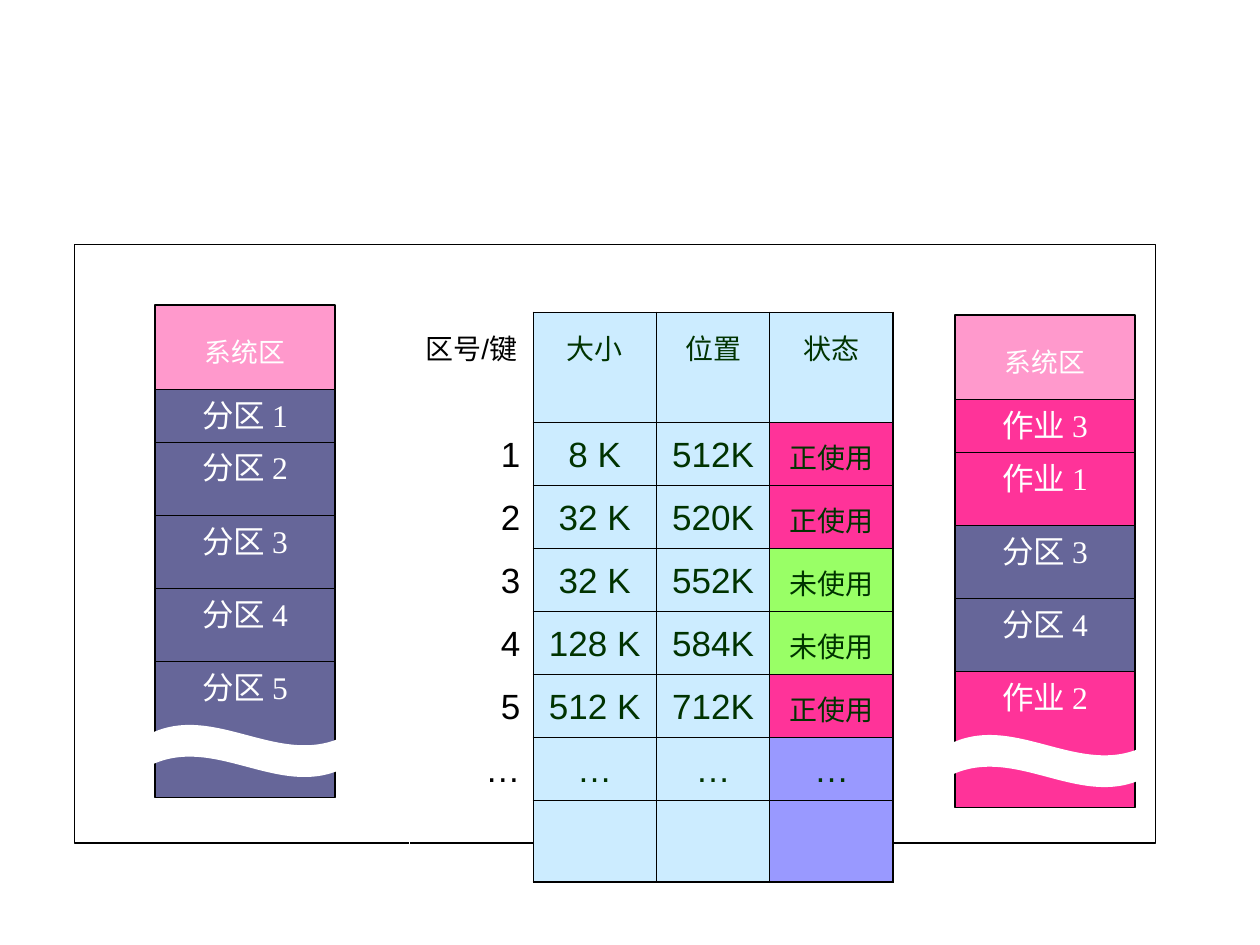
from pptx import Presentation
from pptx.dml.color import RGBColor
from pptx.enum.shapes import MSO_SHAPE
from pptx.enum.text import MSO_ANCHOR, PP_ALIGN
from pptx.oxml.ns import qn
from pptx.util import Inches, Pt
from lxml import etree

RECTANGLE, WAVE = MSO_SHAPE.RECTANGLE, MSO_SHAPE.WAVE
TOP = MSO_ANCHOR.TOP
CENTER, RIGHT = PP_ALIGN.CENTER, PP_ALIGN.RIGHT

BLACK = RGBColor(0x00, 0x00, 0x00)
WHITE = RGBColor(0xFF, 0xFF, 0xFF)
DARK_GREEN = RGBColor(0x00, 0x33, 0x00)
PALE_BLUE = RGBColor(0xCC, 0xEC, 0xFF)
PINK = RGBColor(0xFF, 0x99, 0xCC)
MAGENTA = RGBColor(0xFF, 0x33, 0x99)
GREEN = RGBColor(0x99, 0xFF, 0x66)
VIOLET = RGBColor(0x99, 0x99, 0xFF)
SLATE = RGBColor(0x66, 0x66, 0x99)

THIN, THICK = 0.45, 1.08
COLUMN_WIDTHS = [0.98, 0.98, 0.9, 0.98]
ROW_HEIGHTS = [0.87] + [0.5] * 6 + [0.65]
PARTITION_ROWS = [
    ("区号/键", "大小", "位置", "状态"),
    ("1", "8 K", "512K", "正使用"),
    ("2", "32 K", "520K", "正使用"),
    ("3", "32 K", "552K", "未使用"),
    ("4", "128 K", "584K", "未使用"),
    ("5", "512 K", "712K", "正使用"),
    ("…", "…", "…", "…"),
    ("", "", "", ""),
]
STATUS_FILLS = {"状态": PALE_BLUE, "正使用": MAGENTA, "未使用": GREEN}

BLOCK_WIDTH = 1.43
BLOCK_HEIGHTS = [0.67, 0.42, 0.58, 0.58, 0.58, 1.08]
EMPTY_MEMORY = [("系统区", PINK)] + [(f"分区 {n}", SLATE) for n in range(1, 6)]
LOADED_MEMORY = [
    ("系统区", PINK),
    ("作业 3", MAGENTA),
    ("作业 1", MAGENTA),
    ("分区 3", SLATE),
    ("分区 4", SLATE),
    ("作业 2", MAGENTA),
]


def add_shape(shapes, kind, left, top, width, height, fill, outlined=True):
    shape = shapes.add_shape(
        kind, Inches(left), Inches(top), Inches(width), Inches(height))
    shape.shadow.inherit = False
    shape.fill.solid()
    shape.fill.fore_color.rgb = fill
    if outlined:
        shape.line.color.rgb = BLACK
        shape.line.width = Pt(0.75)
    else:
        shape.line.fill.background()
    return shape


def write_text(text_frame, text, size, font, color, alignment, spacing):
    text_frame.text = text
    paragraph = text_frame.paragraphs[0]
    paragraph.alignment = alignment
    paragraph.line_spacing = spacing
    for run in paragraph.runs:
        run.font.size = Pt(size)
        run.font.name = font
        run.font.color.rgb = color


def add_memory_map(slide, left, top, blocks):
    """Stack the memory blocks and cut the last one with a white wave."""
    shapes = slide.shapes.add_group_shape().shapes
    block_top = top
    for (text, fill), height in zip(blocks, BLOCK_HEIGHTS):
        block = add_shape(
            shapes, RECTANGLE, left, block_top, BLOCK_WIDTH, height, fill)
        is_system = fill == PINK
        block.text_frame.vertical_anchor = TOP
        if is_system:
            block.text_frame.margin_top = Inches(0.27)
        write_text(block.text_frame, text, 15.3 if is_system else 18,
                   "Times New Roman", WHITE, CENTER, 0.9 if is_system else 1.0)
        block_top += height
    wave = add_shape(
        shapes, WAVE, left - 0.06, top + 3.33, 1.58, 0.42, WHITE, False)
    wave.adjustments[0] = 0.2


def set_borders(cell, widths):
    """Draw black borders; widths maps L, R, T and B to points."""
    properties = cell._tc.get_or_add_tcPr()
    for side, width in widths.items():
        line = etree.SubElement(properties, qn(f"a:ln{side}"), w=str(Pt(width)))
        fill = etree.SubElement(line, qn("a:solidFill"))
        etree.SubElement(fill, qn("a:srgbClr"), val=str(BLACK))


def format_cell(cell, text, row, column):
    last_row, last_column = len(ROW_HEIGHTS) - 1, len(COLUMN_WIDTHS) - 1
    is_key, is_status = column == 0, column == last_column
    if is_key:
        set_borders(cell, {"R": THIN})
        cell.fill.background()
    else:
        set_borders(cell, {
            "L": THIN,
            "R": THICK if is_status else THIN,
            "T": THICK if row == 0 else THIN,
            "B": THICK if row == last_row else THIN,
        })
        cell.fill.solid()
        cell.fill.fore_color.rgb = (
            STATUS_FILLS.get(text, VIOLET) if is_status else PALE_BLUE)
    small = row == 0 or (is_status and text in STATUS_FILLS)
    write_text(cell.text_frame, text, 16 if small else 20, "Arial",
               BLACK if is_key else DARK_GREEN,
               RIGHT if is_key and row else CENTER, 1.2)


def add_partition_table(slide):
    table = slide.shapes.add_table(
        len(ROW_HEIGHTS), len(COLUMN_WIDTHS), Inches(3.25), Inches(2.48),
        Inches(sum(COLUMN_WIDTHS)), Inches(sum(ROW_HEIGHTS))).table
    table.first_row = False
    table.horz_banding = False
    for column, width in zip(table.columns, COLUMN_WIDTHS):
        column.width = Inches(width)
    for row, height in zip(table.rows, ROW_HEIGHTS):
        row.height = Inches(height)
    for row, texts in enumerate(PARTITION_ROWS):
        for column, text in enumerate(texts):
            format_cell(table.cell(row, column), text, row, column)


def main():
    presentation = Presentation()
    presentation.slide_width = Inches(10)
    presentation.slide_height = Inches(7.5)
    slide = presentation.slides.add_slide(presentation.slide_layouts[6])
    add_shape(slide.shapes, RECTANGLE, 0.59, 1.94, 8.58, 4.75, WHITE)
    add_partition_table(slide)
    add_memory_map(slide, 1.23, 2.42, EMPTY_MEMORY)
    add_memory_map(slide, 7.58, 2.5, LOADED_MEMORY)
    presentation.save("out.pptx")


if __name__ == "__main__":
    main()
